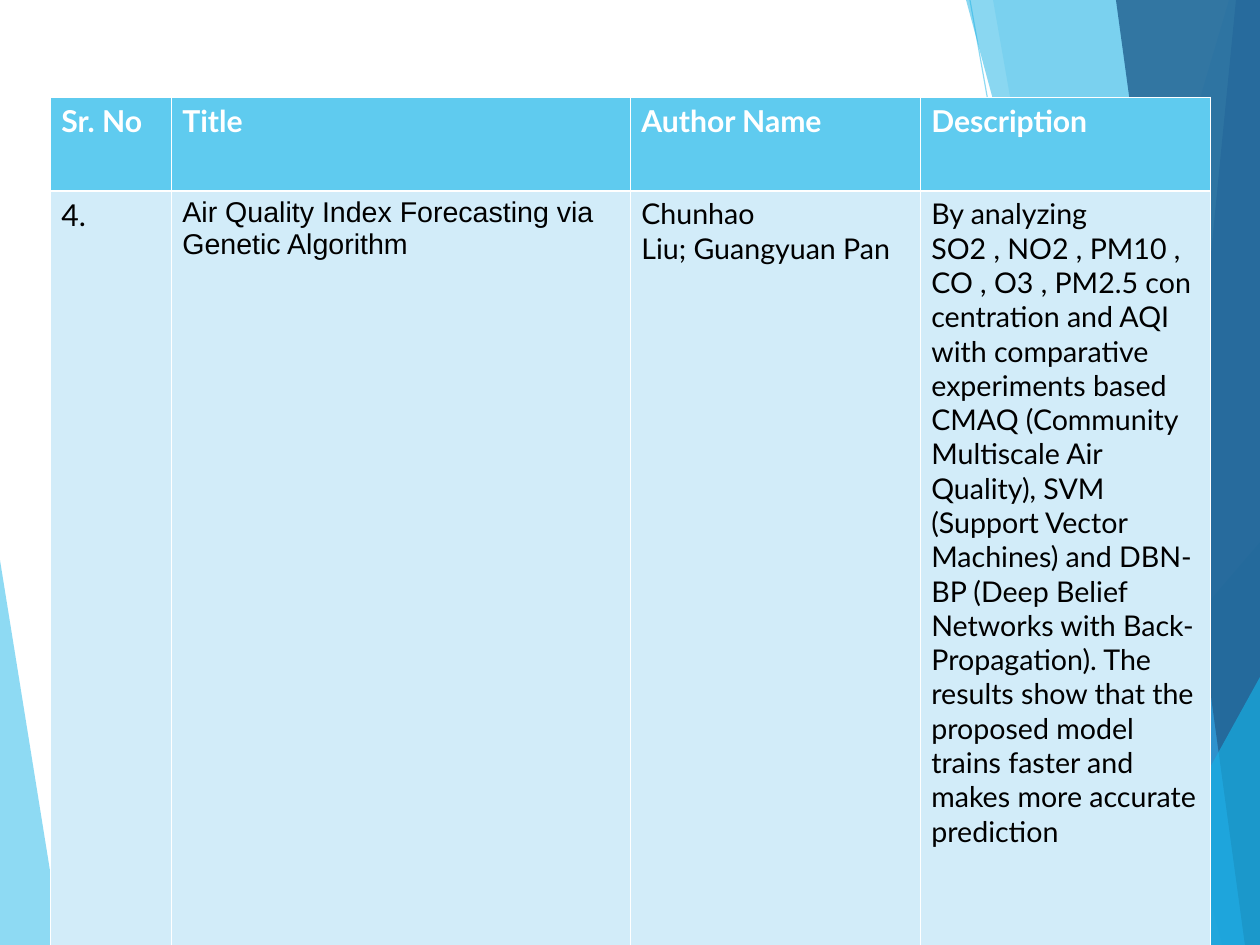
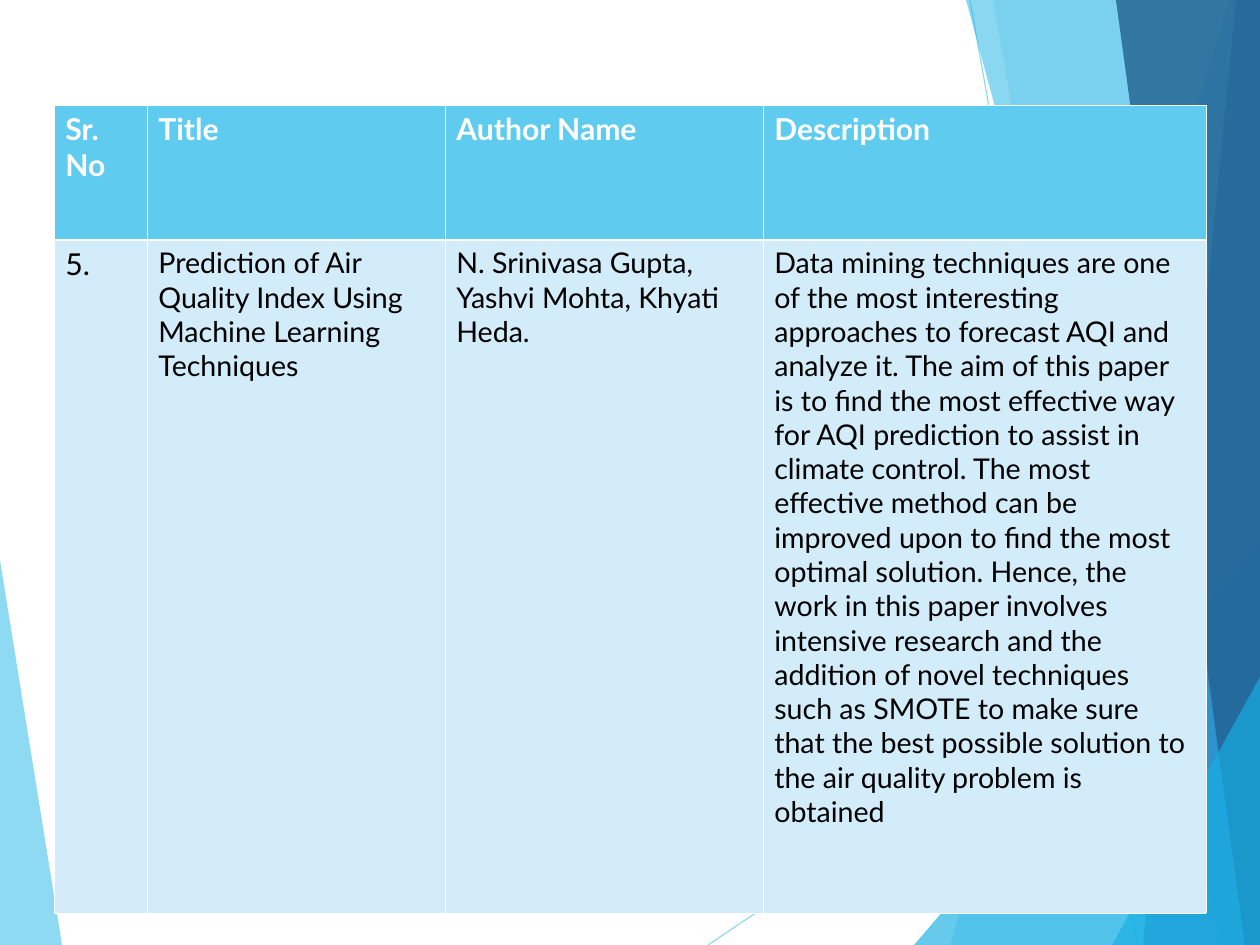
from dataclasses import dataclass
from typing import NamedTuple

from lxml.etree import SubElement
from pptx import Presentation
from pptx.dml.color import RGBColor
from pptx.enum.shapes import MSO_CONNECTOR as Connector
from pptx.oxml.ns import qn
from pptx.util import Emu, Pt

EMU_PER_PX = 8000
WIDTH, HEIGHT = 1260, 945


@dataclass(frozen=True)
class Theme:
    sky: str = "5FCBEF"
    azure: str = "17B0E4"
    blue: str = "2E83C3"
    navy: str = "236292"
    pale: str = "D2ECF9"
    white: str = "FFFFFF"
    black: str = "000000"
    font: str = "Lato"
    title_font: str = "Arial"
    heading_size: int = 19
    body_size: int = 18
    thin: float = 0.45
    thick: float = 1.47
    ray: float = 0.75


THEME = Theme()


class Facet(NamedTuple):
    color: str
    opacity: int
    corners: tuple[tuple[int, int], ...]


class Ray(NamedTuple):
    start: tuple[int, int]
    end: tuple[int, int]


class CellStyle(NamedTuple):
    fill: str
    color: str
    size: int
    bold: bool = False
    font: str = THEME.font


@dataclass(frozen=True)
class Paper:
    left: int
    top: int
    columns: tuple[int, ...]
    rows: tuple[int, ...]
    entries: tuple[str, ...]
    title_font: str = THEME.font


RAYS = (
    Ray((708, HEIGHT), (WIDTH, 575)),
    Ray((970, 0), (1138, HEIGHT)),
)

LEFT_FACET = Facet(THEME.sky, 70, ((0, 560), (62, HEIGHT), (0, HEIGHT)))


def right_facet(color: str, opacity: int, top: tuple[int, int], bottom: int,
                edge: int = 0) -> Facet:
    return Facet(color, opacity,
                 (top, (bottom, HEIGHT), (WIDTH, HEIGHT), (WIDTH, edge)))


RIGHT_FACETS = (
    right_facet(THEME.sky, 36, (1229, 0), 950),
    right_facet(THEME.sky, 20, (993, 0), 1159),
    right_facet(THEME.azure, 66, (WIDTH, 542), 914, 542),
    right_facet(THEME.azure, 50, (966, 0), 1222),
    right_facet(THEME.blue, 70, (1236, 0), 1143),
    right_facet(THEME.navy, 82, (1116, 0), 1245),
    right_facet(THEME.azure, 66, (WIDTH, 677), 1112, 677),
)

HEADINGS = ("Sr. No", "Title", "Author Name", "Description")
HEADING = CellStyle(THEME.sky, THEME.white, THEME.heading_size, True)
NUMBER = CellStyle(THEME.pale, THEME.black, THEME.heading_size)
BODY = CellStyle(THEME.pale, THEME.black, THEME.body_size)

HARD_SPACE = chr(160)
POLLUTANTS = f"{HARD_SPACE},{HARD_SPACE}".join(
    ("SO2", "NO2", "PM10", "CO", "O3", "PM2.5"))

PAPERS = (
    Paper(
        50, 97, (121, 459, 290, 290), (94, 789),
        (
            "4.",
            "Air Quality Index Forecasting via Genetic Algorithm",
            f"Chunhao Liu;{HARD_SPACE}Guangyuan Pan",
            f"By analyzing {POLLUTANTS}{HARD_SPACE}concentration "
            "and AQI with comparative experiments based CMAQ (Community "
            "Multiscale Air Quality), SVM (Support Vector Machines) and "
            "DBN-BP (Deep Belief Networks with Back-Propagation). The "
            "results show that the proposed model trains faster and makes "
            "more accurate prediction",
        ),
        THEME.title_font,
    ),
    Paper(
        54, 105, (93, 298, 318, 443), (135, 673),
        (
            "5.",
            "Prediction of Air Quality Index Using Machine Learning "
            "Techniques",
            "N. Srinivasa Gupta, Yashvi Mohta, Khyati Heda.",
            "Data mining techniques are one of the most interesting "
            "approaches to forecast AQI and analyze it. The aim of this "
            "paper is to find the most effective way for AQI prediction to "
            "assist in climate control. The most effective method can be "
            "improved upon to find the most optimal solution. Hence, the "
            "work in this paper involves intensive research and the "
            "addition of novel techniques such as SMOTE to make sure that "
            "the best possible solution to the air quality problem is "
            "obtained",
        ),
    ),
)


def px(length: int) -> Emu:
    return Emu(length * EMU_PER_PX)


def rgb(color: str) -> RGBColor:
    return RGBColor.from_string(color)


def paint(fill, color: str, opacity: int = 100) -> None:
    fill.solid()
    fill.fore_color.rgb = rgb(color)
    if opacity < 100:
        tint = fill._xPr.find(f".//{qn('a:srgbClr')}")
        SubElement(tint, qn("a:alpha"), val=str(opacity * 1000))


def draw_facet(slide, facet: Facet) -> None:
    start, *others = facet.corners
    builder = slide.shapes.build_freeform(*start, scale=float(EMU_PER_PX))
    builder.add_line_segments(others, close=True)
    panel = builder.convert_to_shape()
    panel.shadow.inherit = False
    paint(panel.fill, facet.color, facet.opacity)
    panel.line.fill.background()


def draw_ray(slide, ray: Ray) -> None:
    ends = map(px, ray.start + ray.end)
    stroke = slide.shapes.add_connector(Connector.STRAIGHT, *ends)
    stroke.line.width = Pt(THEME.ray)
    paint(stroke.line.fill, THEME.sky, 70)
    SubElement(stroke._element.spPr, qn("a:effectLst"))


def draw_backdrop(slide) -> None:
    draw_facet(slide, LEFT_FACET)
    for ray in RAYS:
        draw_ray(slide, ray)
    for facet in RIGHT_FACETS:
        draw_facet(slide, facet)


def draw_borders(cell, thick_side: str) -> None:
    properties = cell._tc.get_or_add_tcPr()
    for side in "LRTB":
        weight = THEME.thick if side == thick_side else THEME.thin
        border = SubElement(properties, qn(f"a:ln{side}"), w=str(Pt(weight)))
        color = SubElement(border, qn("a:solidFill"))
        SubElement(color, qn("a:srgbClr"), val=THEME.white)


def fill_cell(cell, words: str, style: CellStyle, thick_side: str) -> None:
    draw_borders(cell, thick_side)
    paint(cell.fill, style.fill)
    run = cell.text_frame.paragraphs[0].add_run()
    run.text = words
    formats = {"name": style.font, "size": Pt(style.size), "bold": style.bold}
    for attribute, value in formats.items():
        setattr(run.font, attribute, value)
    run.font.color.rgb = rgb(style.color)


def draw_paper(slide, paper: Paper) -> None:
    survey = slide.shapes.add_table(
        len(paper.rows), len(paper.columns), px(paper.left), px(paper.top),
        px(sum(paper.columns)), px(sum(paper.rows))).table
    survey.horz_banding = False
    for column, width in zip(survey.columns, paper.columns):
        column.width = px(width)
    for row, height in zip(survey.rows, paper.rows):
        row.height = px(height)
    title_style = BODY._replace(font=paper.title_font)
    entry_styles = (NUMBER, title_style, BODY, BODY)
    for index, (heading, entry, style) in enumerate(
            zip(HEADINGS, paper.entries, entry_styles)):
        fill_cell(survey.cell(0, index), heading, HEADING, "B")
        fill_cell(survey.cell(1, index), entry, style, "T")


def main() -> None:
    deck = Presentation()
    deck.slide_width, deck.slide_height = px(WIDTH), px(HEIGHT)
    blank = deck.slide_layouts[6]
    for paper in PAPERS:
        slide = deck.slides.add_slide(blank)
        draw_backdrop(slide)
        draw_paper(slide, paper)
    deck.save("out.pptx")


if __name__ == "__main__":
    main()
